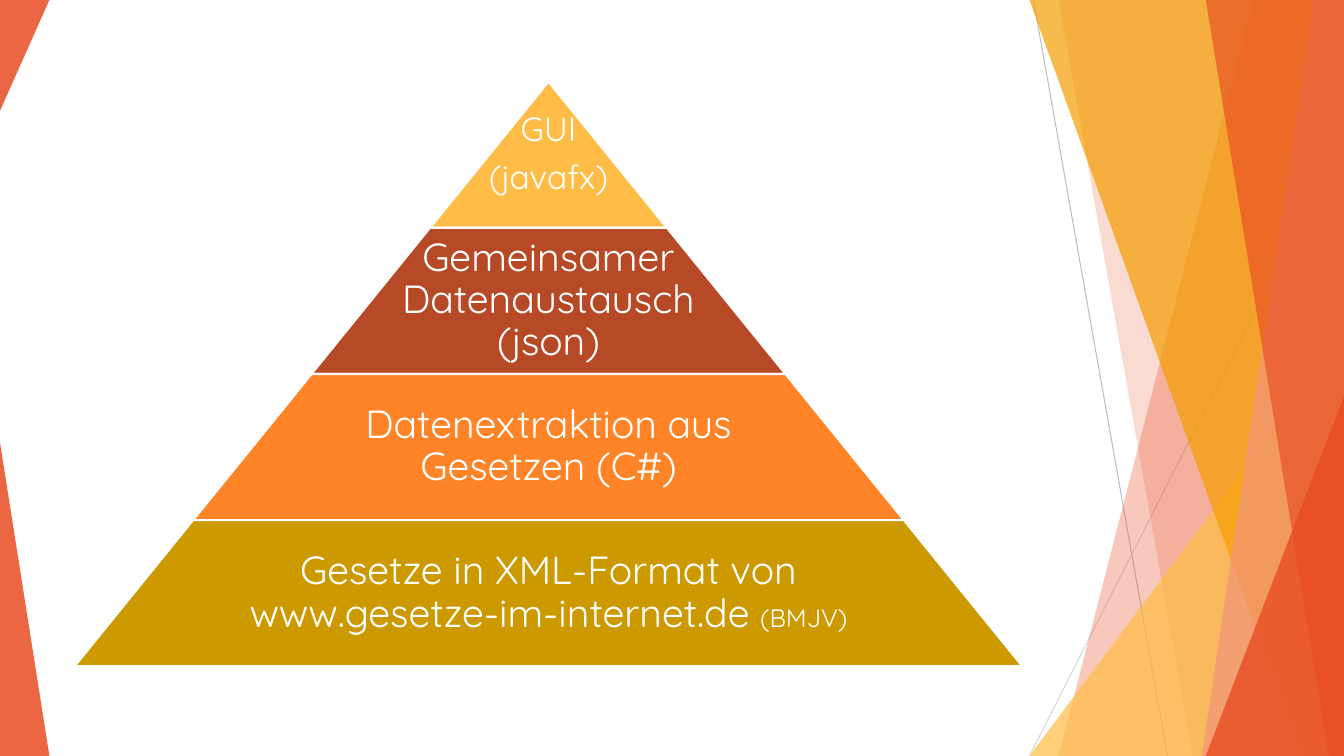
import pptx
import pptx.util
import pptx.dml.color
import pptx.enum.shapes
import pptx.enum.text
import pptx.oxml.ns
import lxml.etree
from dataclasses import dataclass

Inches, Pt = pptx.util.Inches, pptx.util.Pt
SHAPES = pptx.enum.shapes.MSO_SHAPE
SLIDE_W, SLIDE_H = 13.33, 7.5


@dataclass(frozen=True)
class Theme:
    font: str = "Quicksand"
    white: str = "FFFFFF"
    red: str = "E84C22"
    salmon: str = "F1947A"
    amber: str = "F49D00"
    yellow: str = "FFBD47"
    rust: str = "B64926"
    orange: str = "FF8427"
    olive: str = "CC9900"
    grey: str = "BFBFBF"
    light_grey: str = "D9D9D9"
    large: int = 28
    medium: int = 24
    small: int = 18


class SlideBuilder:
    def __init__(self, slide, theme):
        self.slide = slide
        self.theme = theme

    def paint(self, shape, color, opacity=100, outline=None):
        shape.shadow.inherit = False
        shape.fill.solid()
        shape.fill.fore_color.rgb = pptx.dml.color.RGBColor.from_string(color)
        if opacity < 100:
            qn = pptx.oxml.ns.qn
            srgb = shape._element.spPr.find(qn("a:solidFill") + "/" + qn("a:srgbClr"))
            lxml.etree.SubElement(srgb, qn("a:alpha"), val=str(opacity * 1000))
        if outline:
            shape.line.color.rgb = pptx.dml.color.RGBColor.from_string(outline)
            shape.line.width = Pt(1.5)
        else:
            shape.line.fill.background()

    def line(self, start, end, color):
        connector = self.slide.shapes.add_connector(
            pptx.enum.shapes.MSO_CONNECTOR.STRAIGHT, *map(Inches, start + end))
        connector.line.color.rgb = pptx.dml.color.RGBColor.from_string(color)
        connector.line.width = Pt(0.75)
        lxml.etree.SubElement(
            connector._element.spPr, pptx.oxml.ns.qn("a:effectLst"))

    def ribbon(self, top_left, top_right, bottom_right, bottom_left, color, opacity):
        """Draw a translucent four-sided band over the full slide height."""
        outline = self.slide.shapes.build_freeform(
            Inches(top_left), 0, scale=1.0)
        outline.add_line_segments([
            (Inches(top_right), 0),
            (Inches(bottom_right), Inches(SLIDE_H)),
            (Inches(bottom_left), Inches(SLIDE_H))], close=True)
        self.paint(outline.convert_to_shape(), color, opacity)

    def preset(self, kind, box, adjustment, color, opacity=100, outline=None):
        shape = self.slide.shapes.add_shape(kind, *map(Inches, box))
        shape.adjustments[0] = adjustment
        self.paint(shape, color, opacity, outline)
        return shape

    def label(self, box, paragraphs, inset):
        """Centre paragraphs, each given as a list of (text, size) runs."""
        frame = self.slide.shapes.add_textbox(*map(Inches, box)).text_frame
        frame.word_wrap = True
        frame.vertical_anchor = pptx.enum.text.MSO_ANCHOR.MIDDLE
        frame.margin_left = frame.margin_right = Inches(inset)
        frame.margin_top = frame.margin_bottom = Inches(inset)
        for index, pieces in enumerate(paragraphs):
            paragraph = frame.add_paragraph() if index else frame.paragraphs[0]
            paragraph.alignment = pptx.enum.text.PP_ALIGN.CENTER
            paragraph.line_spacing = 0.9
            paragraph.space_after = Pt(round(pieces[0][1] * 0.35, 1))
            for text, size in pieces:
                run = paragraph.add_run()
                run.text = text
                run.font.name = self.theme.font
                run.font.size = Pt(size)
                run.font.color.rgb = pptx.dml.color.RGBColor.from_string(
                    self.theme.white)


def draw_backdrop(builder):
    theme = builder.theme
    triangle = SHAPES.ISOSCELES_TRIANGLE
    builder.line((10.25, 0), (11.58, SLIDE_H), theme.grey)
    builder.line((13.25, 1.51), (10.21, SLIDE_H), theme.light_grey)
    builder.ribbon(12.43, SLIDE_W, SLIDE_W, 10.5, theme.red, 30)
    builder.ribbon(10.5, SLIDE_W, SLIDE_W, 11.83, theme.red, 20)
    builder.preset(triangle, (10.21, 3.33, 3.12, 4.17), 1, theme.yellow, 72)
    builder.ribbon(10.21, SLIDE_W, SLIDE_W, 12.91, theme.amber, 70)
    builder.ribbon(13.03, SLIDE_W, SLIDE_W, 11.92, theme.salmon, 70)
    builder.ribbon(11.96, SLIDE_W, SLIDE_W, 13.18, theme.red, 65)
    builder.preset(triangle, (11.96, 3.93, 1.37, 3.57), 1, theme.red, 80)
    builder.preset(triangle, (0, 4.39, 0.49, 3.11), 0, theme.red, 85)
    top_corner = builder.preset(triangle, (0, 0, 0.49, 1.1), 0, theme.red, 85)
    top_corner._element.spPr.find(pptx.oxml.ns.qn("a:xfrm")).set("flipV", "1")


def draw_pyramid(builder):
    theme = builder.theme
    center, top, level_height, level_growth = 5.44, 0.81, 1.45, 2.35
    levels = [
        (theme.yellow, 2.35, 0.03,
         [[("GUI", theme.medium)], [("(javafx)", theme.medium)]]),
        (theme.rust, 3.06, 0.04,
         [[("Gemeinsamer Datenaustausch (json)", theme.large)]]),
        (theme.orange, 4.58, 0.04,
         [[("Datenextraktion aus Gesetzen (C#)", theme.large)]]),
        (theme.olive, 6.11, 0.04,
         [[("Gesetze in XML-Format von www.gesetze-im-internet.de ", theme.large),
           ("(BMJV)", theme.small)]]),
    ]
    for index, (color, label_width, inset, paragraphs) in enumerate(levels):
        width = level_growth * (index + 1)
        level_top = top + index * level_height
        builder.preset(
            SHAPES.TRAPEZOID,
            (center - width / 2, level_top, width, level_height),
            level_growth / 2 / level_height, color, outline=theme.white)
        builder.label(
            (center - label_width / 2, level_top, label_width, level_height),
            paragraphs, inset)


def main():
    presentation = pptx.Presentation()
    presentation.slide_width = Inches(SLIDE_W)
    presentation.slide_height = Inches(SLIDE_H)
    slide = presentation.slides.add_slide(presentation.slide_layouts[6])
    builder = SlideBuilder(slide, Theme())
    draw_backdrop(builder)
    draw_pyramid(builder)
    presentation.save("out.pptx")


if __name__ == "__main__":
    main()
